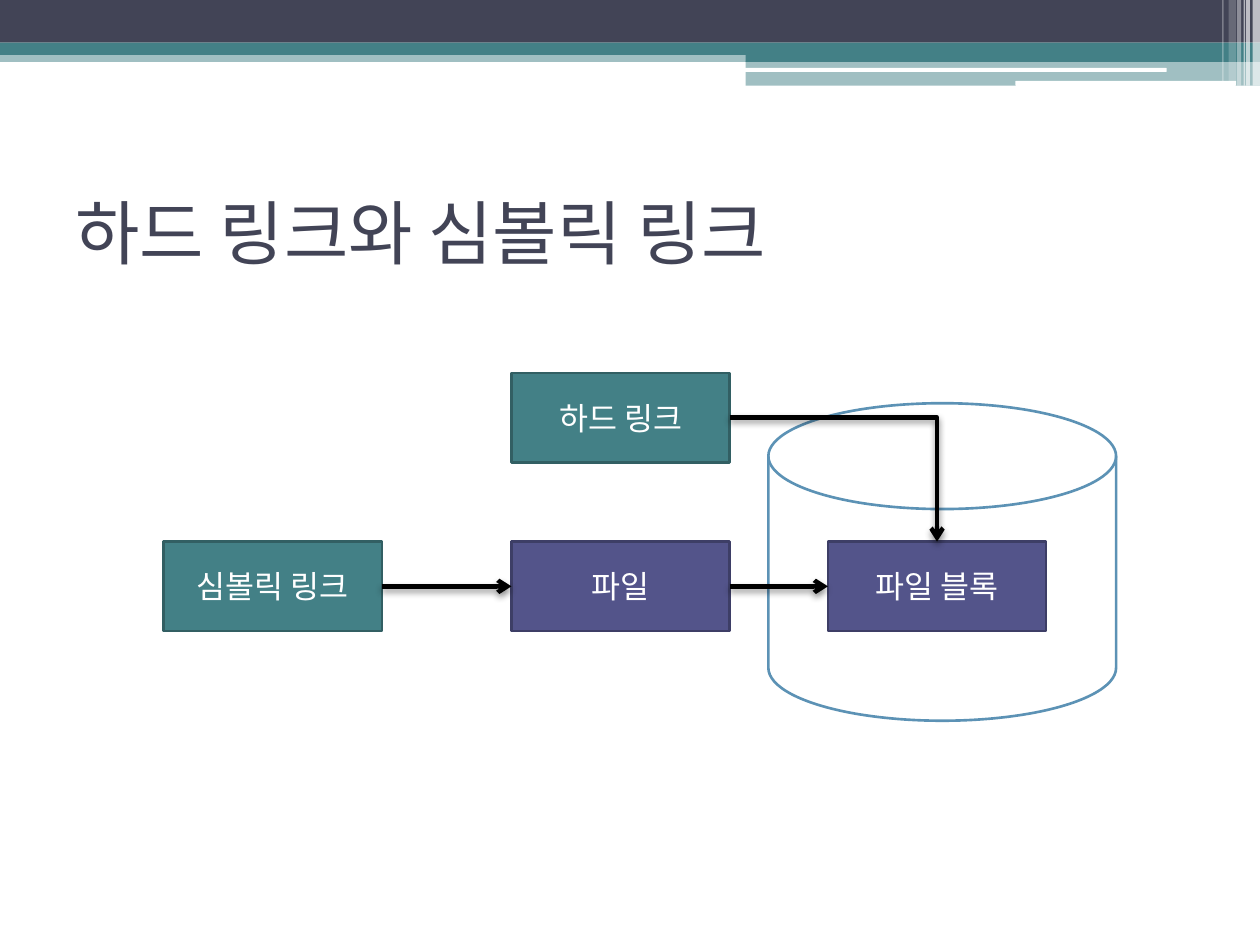
from lxml import etree
from pptx import Presentation, util as u
from pptx.dml.color import RGBColor
from pptx.enum import shapes, text
from pptx.oxml.ns import qn

Cm, Pt = u.Cm, u.Pt
Kind = shapes.MSO_SHAPE
Link = shapes.MSO_CONNECTOR
TEAL, NAVY, WHITE = "438086", "424456", "FFFFFF"


def color(code):
    return RGBColor.from_string(code)


def add(parent, tag, **attrs):
    return etree.SubElement(parent, qn(tag), {k: str(v) for k, v in attrs.items()})


class Page:
    head_font, body_font = "Open Sans", "Cambria"
    box_w, box_h = 4.4, 1.8

    def __init__(self, deck):
        self.slide = deck.slides.add_slide(deck.slide_layouts[5])

    def label(self, frame, words, font, size, code, align):
        frame.text = words
        frame.word_wrap = True
        frame.vertical_anchor = text.MSO_ANCHOR.MIDDLE
        para = frame.paragraphs[0]
        para.alignment = align
        face = para.runs[0].font
        face.name, face.size = font, Pt(size)
        face.color.rgb = color(code)

    def title(self, words, x, y, w, h):
        item = self.slide.shapes.title
        item.left, item.top, item.width, item.height = map(Cm, (x, y, w, h))
        self.label(item.text_frame, words, self.head_font, 40, NAVY, text.PP_ALIGN.LEFT)
        item.text_frame.auto_size = text.MSO_AUTO_SIZE.NONE

    def shape(self, x, y, w, h, fill, edge=None, kind=Kind.RECTANGLE, alpha=100):
        item = self.slide.shapes.add_shape(kind, *map(Cm, (x, y, w, h)))
        item.shadow.inherit = False
        item.fill.solid()
        item.fill.fore_color.rgb = color(fill)
        if alpha < 100:
            tint = item._element.spPr.find(qn("a:solidFill") + "/" + qn("a:srgbClr"))
            add(tint, "a:alpha", val=alpha * 1000)
        if edge:
            item.line.color.rgb = color(edge)
            item.line.width = Pt(1.5)
        else:
            item.line.fill.background()
        return item

    def box(self, words, x, y, fill, edge):
        item = self.shape(x, y, self.box_w, self.box_h, fill, edge)
        self.label(item.text_frame, words, self.body_font, 18, WHITE, text.PP_ALIGN.CENTER)
        return item

    def arrow(self, start, end, bent=False):
        kind = Link.ELBOW if bent else Link.STRAIGHT
        item = self.slide.shapes.add_connector(kind, 0, 0, 0, 0)
        item.begin_connect(start, 3)
        item.end_connect(end, 0 if bent else 1)
        item.line.color.rgb = color("000000")
        item.line.width = Pt(2.5)
        props = item._element.spPr
        if bent:
            geom = props.find(qn("a:prstGeom"))
            geom.set("prst", "bentConnector2")
        add(props.find(qn("a:ln")), "a:tailEnd", type="arrow")
        # Soft shadow straight below the line
        glow = add(add(props, "a:effectLst"), "a:outerShdw", blurRad=int(Pt(4)),
                   dist=int(Pt(2)), dir=90 * 60000, algn="ctr", rotWithShape=0)
        add(add(glow, "a:srgbClr", val="000000"), "a:alpha", val=45000)


deck = Presentation()
deck.slide_width, deck.slide_height = Cm(25.4), Cm(19.05)
page = Page(deck)

# Header bands: left, top, width, height, colour, opacity
bands = [
    (0, 1.02, 25.4, 0.23, TEAL, 50),
    (0, 0, 25.4, 0.86, NAVY, 100),
    (0, 0.86, 25.4, 0.25, TEAL, 100),
    (15.03, 1, 10.37, 0.25, TEAL, 100),
    (15.03, 1.23, 10.37, 0.5, TEAL, 50),
]
for x, y, w, h, fill, alpha in bands:
    page.shape(x, y, w, h, fill, alpha=alpha)

# White rules under the header
for x, y, w, h in [(15.01, 1.37, 8.51, 0.08), (20.47, 1.63, 4.45, 0.1)]:
    page.shape(x, y, w, h, WHITE, kind=Kind.ROUNDED_RECTANGLE)

# Light stripes at the right end: left, width, height, opacity
stripes = [(25.25, 0.15, 1.73, 65), (25.12, 0.08, 1.73, 65), (25.07, 0.03, 1.73, 60),
           (24.94, 0.08, 1.73, 40), (24.77, 0.15, 1.63, 20), (24.64, 0.03, 1.63, 30)]
for x, w, h, alpha in stripes:
    page.shape(x, 0, w, h, WHITE, alpha=alpha)

# Disk and title
page.shape(15.49, 8.13, 7.01, 6.4, WHITE, "5C92B5", Kind.FLOWCHART_MAGNETIC_DISK)
page.title("하드 링크와 심볼릭 링크", 1.27, 3.18, 22.86, 2.97)

# Boxes
left, mid, right = 3.3, 10.31, 16.69
upper, lower = 7.52, 10.92
links, files = (TEAL, "325F63"), ("53548A", "3D3E66")
block = page.box("파일 블록", right, lower, *files)
file = page.box("파일", mid, lower, *files)
hard = page.box("하드 링크", mid, upper, *links)
soft = page.box("심볼릭 링크", left, lower, *links)

# Arrows
page.arrow(file, block)
page.arrow(hard, block, bent=True)
page.arrow(soft, file)

deck.save("out.pptx")
